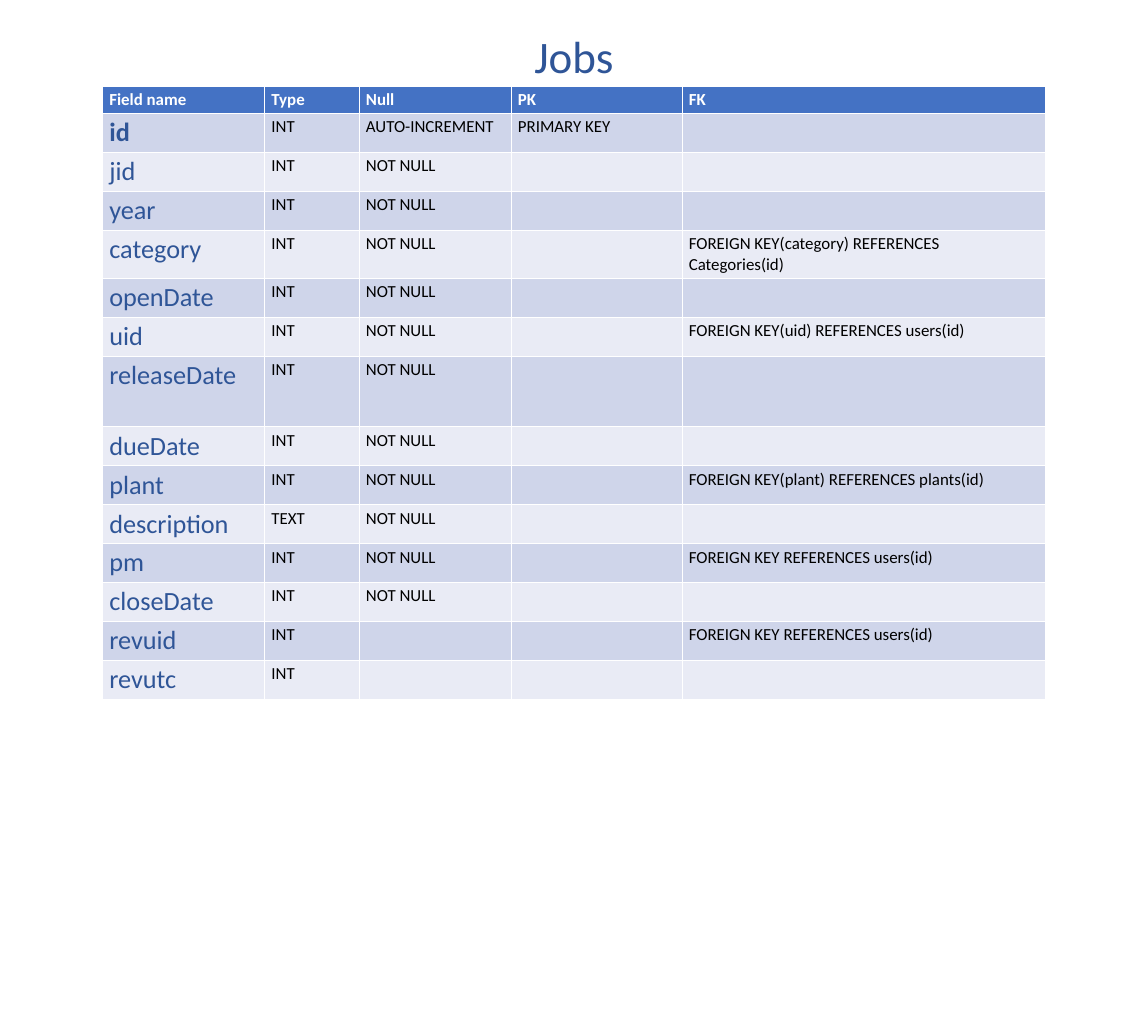
import pptx
import pptx.util
import pptx.dml.color
import pptx.enum.text

Pt = pptx.util.Pt
RGBColor = pptx.dml.color.RGBColor

WHITE = RGBColor(0xFF, 0xFF, 0xFF)
BLACK = RGBColor(0x00, 0x00, 0x00)
NAVY = RGBColor(0x2F, 0x55, 0x97)
BLUE = RGBColor(0x44, 0x72, 0xC4)
BANDS = [RGBColor(0xE9, 0xEB, 0xF5), RGBColor(0xCF, 0xD5, 0xEA)]

HEAD = ["Field name", "Type", "Null", "PK", "FK"]
FIELDS = [
    ["id", "INT", "AUTO-INCREMENT", "PRIMARY KEY", ""],
    ["jid", "INT", "NOT NULL", "", ""],
    ["year", "INT", "NOT NULL", "", ""],
    ["category", "INT", "NOT NULL", "",
     "FOREIGN KEY(category) REFERENCES Categories(id)"],
    ["openDate", "INT", "NOT NULL", "", ""],
    ["uid", "INT", "NOT NULL", "", "FOREIGN KEY(uid) REFERENCES users(id)"],
    ["releaseDate", "INT", "NOT NULL", "", ""],
    ["dueDate", "INT", "NOT NULL", "", ""],
    ["plant", "INT", "NOT NULL", "", "FOREIGN KEY(plant) REFERENCES plants(id)"],
    ["description", "TEXT", "NOT NULL", "", ""],
    ["pm", "INT", "NOT NULL", "", "FOREIGN KEY REFERENCES users(id)"],
    ["closeDate", "INT", "NOT NULL", "", ""],
    ["revuid", "INT", "", "", "FOREIGN KEY REFERENCES users(id)"],
    ["revutc", "INT", "", "", ""],
]
ROWS = [HEAD] + FIELDS
WIDTHS = [172.8, 100.8, 162, 182.2, 387.3]
HEIGHTS = [75.6 if row[0] == "releaseDate" else 41.5 for row in ROWS]
HEIGHTS[0] = 29.2

deck = pptx.Presentation()
deck.slide_width = Pt(1224)
deck.slide_height = Pt(1080)
slide = deck.slides.add_slide(deck.slide_layouts[5])

title = slide.shapes.title
title.left, title.top, title.width, title.height = Pt(561), Pt(26.6), Pt(102), Pt(65.5)
frame = title.text_frame
frame.text = "Jobs"
frame.word_wrap = False
frame.auto_size = pptx.enum.text.MSO_AUTO_SIZE.NONE
frame.vertical_anchor = pptx.enum.text.MSO_ANCHOR.TOP
para = frame.paragraphs[0]
para.alignment = pptx.enum.text.PP_ALIGN.CENTER
para.font.name = "Calibri"
para.font.size = Pt(48)
para.font.color.rgb = NAVY

table = slide.shapes.add_table(
    len(ROWS), len(HEAD), Pt(109.4), Pt(91.6), Pt(sum(WIDTHS)), Pt(sum(HEIGHTS))
).table
for col, width in zip(table.columns, WIDTHS):
    col.width = Pt(width)

for r, row in enumerate(ROWS):
    table.rows[r].height = Pt(HEIGHTS[r])
    for c, text in enumerate(row):
        cell = table.cell(r, c)
        cell.fill.solid()
        cell.fill.fore_color.rgb = BANDS[r % 2] if r else BLUE
        if not text:
            continue
        cell.text = text
        font = cell.text_frame.paragraphs[0].font
        name = r > 0 and c == 0
        font.name = "Calibri"
        font.size = Pt(28 if name else 18)
        font.bold = r == 0 or text == "id"
        font.color.rgb = NAVY if name else BLACK if r else WHITE

deck.save("out.pptx")
